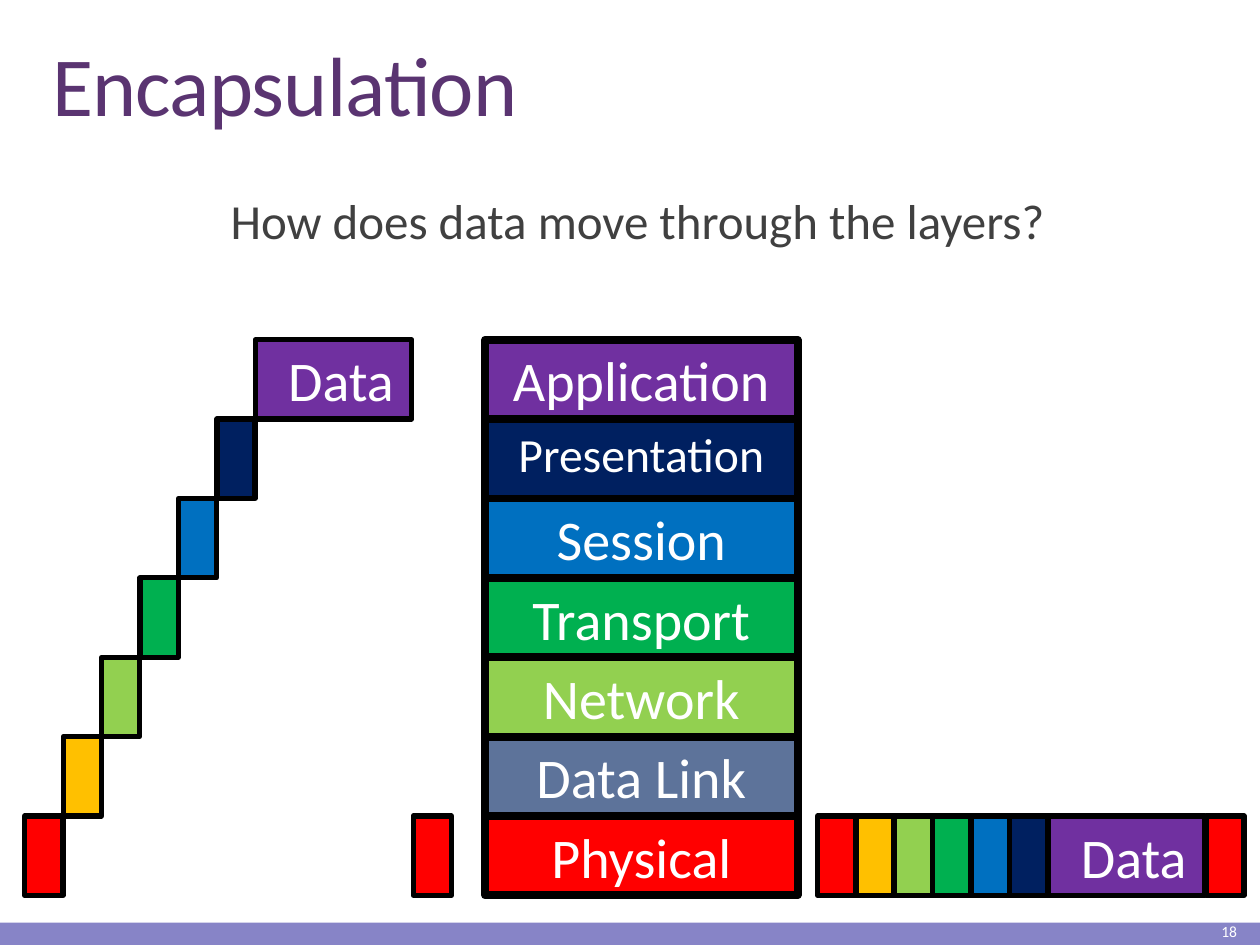
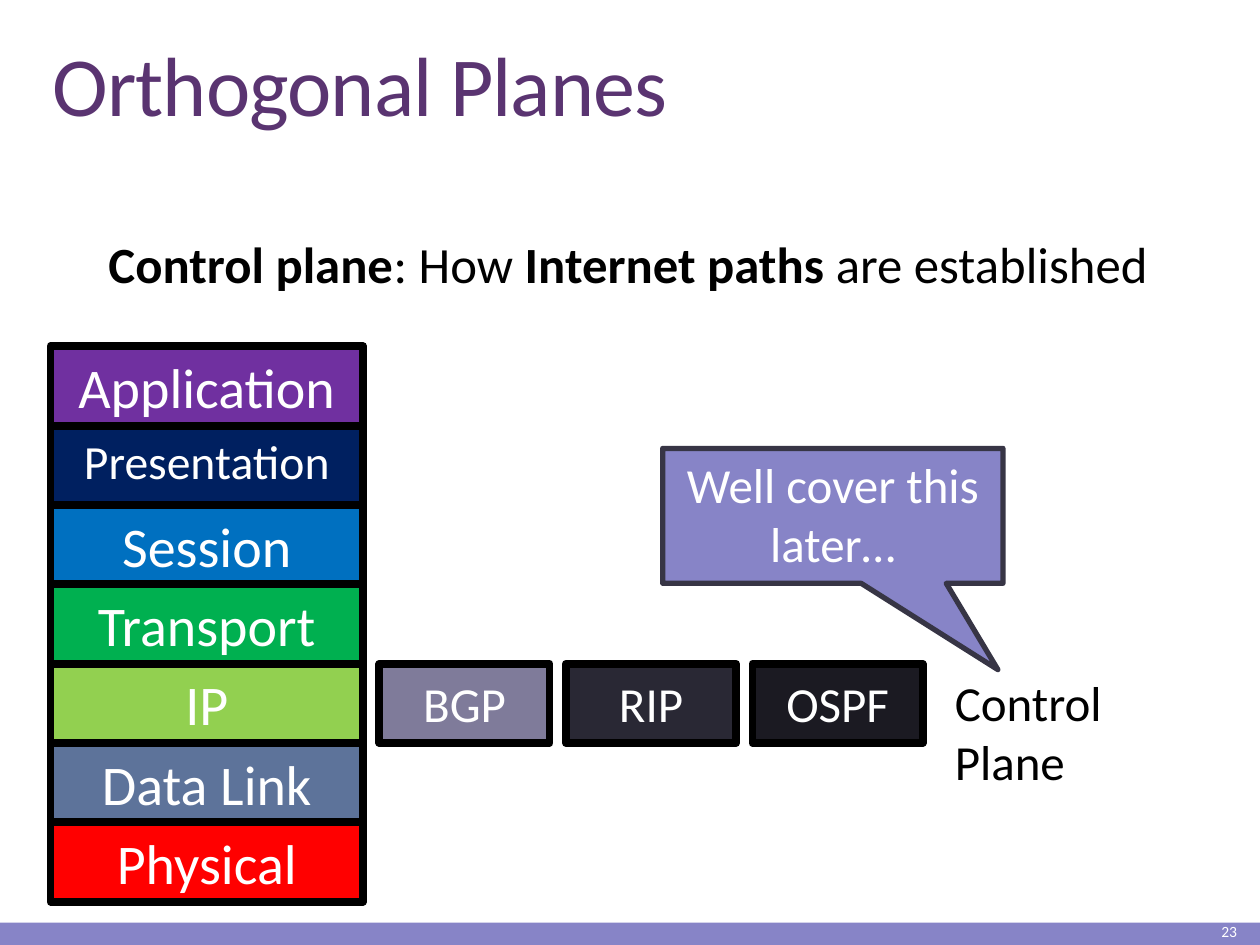
"""Build two slides on network layers: encapsulation and orthogonal planes."""
import dataclasses

import pptx
import pptx.dml.color
import pptx.enum.shapes
import pptx.enum.text
import pptx.util

Cm = pptx.util.Cm
Pt = pptx.util.Pt
Kind = pptx.enum.shapes.MSO_SHAPE
Align = pptx.enum.text.PP_ALIGN
Anchor = pptx.enum.text.MSO_ANCHOR


@dataclasses.dataclass(frozen=True)
class Theme:
    font: str = "Calibri"
    title: str = "5A3471"
    body: str = "404040"
    band: str = "8784C7"
    edge: str = "373545"
    black: str = "000000"
    white: str = "FFFFFF"
    head: float = 48
    lead: float = 29
    text: float = 28
    label: float = 32
    small: float = 27.2
    page: float = 8.9
    thick: float = 4.5
    thin: float = 3


THEME = Theme()

LAYERS = [
    ("Application", "7030A0"),
    ("Presentation", "002060"),
    ("Session", "0070C0"),
    ("Transport", "00B050"),
    ("Network", "92D050"),
    ("Data Link", "5D739A"),
    ("Physical", "FF0000"),
]
RENAMED = {"Network": "IP"}
HEADERS = ["002060", "0070C0", "00B050", "92D050", "FFC000", "FF0000"]
PAYLOAD = ("Data", "7030A0")
ROUTING = [("BGP", "7F7B9A"), ("RIP", "292834"), ("OSPF", "1B1A22")]
QUESTION = "How does data move through the layers?"
CLAIM = [
    ("Control plane", True),
    (": How ", False),
    ("Internet paths", True),
    (" are established", False),
]
CALLOUT = "Well cover this later…"
PLANE = "Control Plane"

ROW = 1.6
LAYER_W = 6.3
CELL_W = 0.77
CELL_STEP = 0.775
DATA_W = 3.15
ROUTE_W = 3.43
ROUTE_STEP = 3.76


def color(code):
    return pptx.dml.color.RGBColor.from_string(code)


def write(shape, text, size, ink, align=Align.CENTER, anchor=Anchor.TOP):
    frame = shape.text_frame
    frame.word_wrap = True
    frame.vertical_anchor = anchor
    para = frame.paragraphs[0]
    para.alignment = align
    para.font.name = THEME.font
    para.font.size = Pt(size)
    para.font.color.rgb = color(ink)
    for part, bold in [(text, False)] if isinstance(text, str) else text:
        run = para.add_run()
        run.text = part
        if bold:
            run.font.bold = True
    return para


def note(slide, area, text, size, ink, align=Align.CENTER, anchor=Anchor.TOP):
    box = slide.shapes.add_textbox(*map(Cm, area))
    return write(box, text, size, ink, align, anchor)


def block(slide, area, fill, width=0, edge=THEME.black, kind=Kind.RECTANGLE):
    shape = slide.shapes.add_shape(kind, *map(Cm, area))
    shape.shadow.inherit = False
    shape.fill.solid()
    shape.fill.fore_color.rgb = color(fill)
    if width:
        shape.line.width = Pt(width)
        shape.line.color.rgb = color(edge)
    else:
        shape.line.fill.background()
    return shape


def start(deck, title, page):
    slide = deck.slides.add_slide(deck.slide_layouts[6])
    block(slide, (0, 18.6, 25.4, 0.45), THEME.band)
    head = note(slide, (0.81, 0.79, 24.08, 2.03), title, THEME.head,
                THEME.title, Align.LEFT, Anchor.BOTTOM)
    head.line_spacing = 0.85
    head.runs[0].font._element.set("spc", "-50")
    note(slide, (22.45, 18.5, 2.74, 0.56), page, THEME.page, THEME.white,
         Align.RIGHT, Anchor.MIDDLE)
    return slide


def stack(slide, left, top, names):
    for row, (name, fill) in enumerate(LAYERS):
        shape = block(slide, (left, top + row * ROW, LAYER_W, ROW), fill, THEME.thick)
        size = THEME.small if name == "Presentation" else THEME.label
        write(shape, names.get(name, name), size, THEME.white)


def packet(slide, left, base, rise):
    """Draw the payload, its headers stepping down by rise, and the trailer."""
    count = len(HEADERS)
    start_x = left + count * CELL_STEP
    text, fill = PAYLOAD
    data = block(slide, (start_x, base - count * rise, DATA_W, ROW), fill, THEME.thin)
    para = write(data, text, THEME.label, THEME.white)
    para._p.get_or_add_pPr().set("marL", str(Cm(0.3)))
    for step, fill in enumerate(HEADERS, 1):
        area = (start_x - step * CELL_STEP, base - (count - step) * rise, CELL_W, ROW)
        block(slide, area, fill, THEME.thin)
    block(slide, (start_x + DATA_W + 0.03, base, CELL_W, ROW), HEADERS[-1], THEME.thin)


def layers(deck):
    slide = start(deck, "Encapsulation", "18")
    lead = note(slide, (0.81, 3.86, 24.08, 1.5), QUESTION, THEME.text, THEME.body)
    lead.line_spacing = 0.9
    top = 6.85
    base = top + len(HEADERS) * ROW
    stack(slide, 9.78, top, {})
    packet(slide, 0.5, base, ROW)
    packet(slide, 16.48, base, 0)


def planes(deck):
    slide = start(deck, "Orthogonal Planes", "23")
    top = 6.98
    stack(slide, 1.02, top, RENAMED)
    for spot, (name, fill) in enumerate(ROUTING):
        area = (7.65 + spot * ROUTE_STEP, top + 4 * ROW, ROUTE_W, ROW)
        shape = block(slide, area, fill, THEME.thick)
        write(shape, name, THEME.text, THEME.white, anchor=Anchor.MIDDLE)
    note(slide, (19, 13.44, 5.6, 2.6), PLANE, THEME.text, THEME.black, Align.LEFT)
    bubble = block(slide, (13.36, 9.04, 6.86, 2.72), THEME.band, THEME.thin,
                   THEME.edge, Kind.RECTANGULAR_CALLOUT)
    bubble.adjustments[0] = 0.485
    bubble.adjustments[1] = 1.14
    write(bubble, CALLOUT, THEME.text, THEME.white)
    note(slide, (1.73, 4.57, 21.87, 1.5), CLAIM, THEME.lead, THEME.black)


def main():
    deck = pptx.Presentation()
    deck.slide_width = Cm(25.4)
    deck.slide_height = Cm(19.05)
    layers(deck)
    planes(deck)
    deck.save("out.pptx")


if __name__ == "__main__":
    main()
